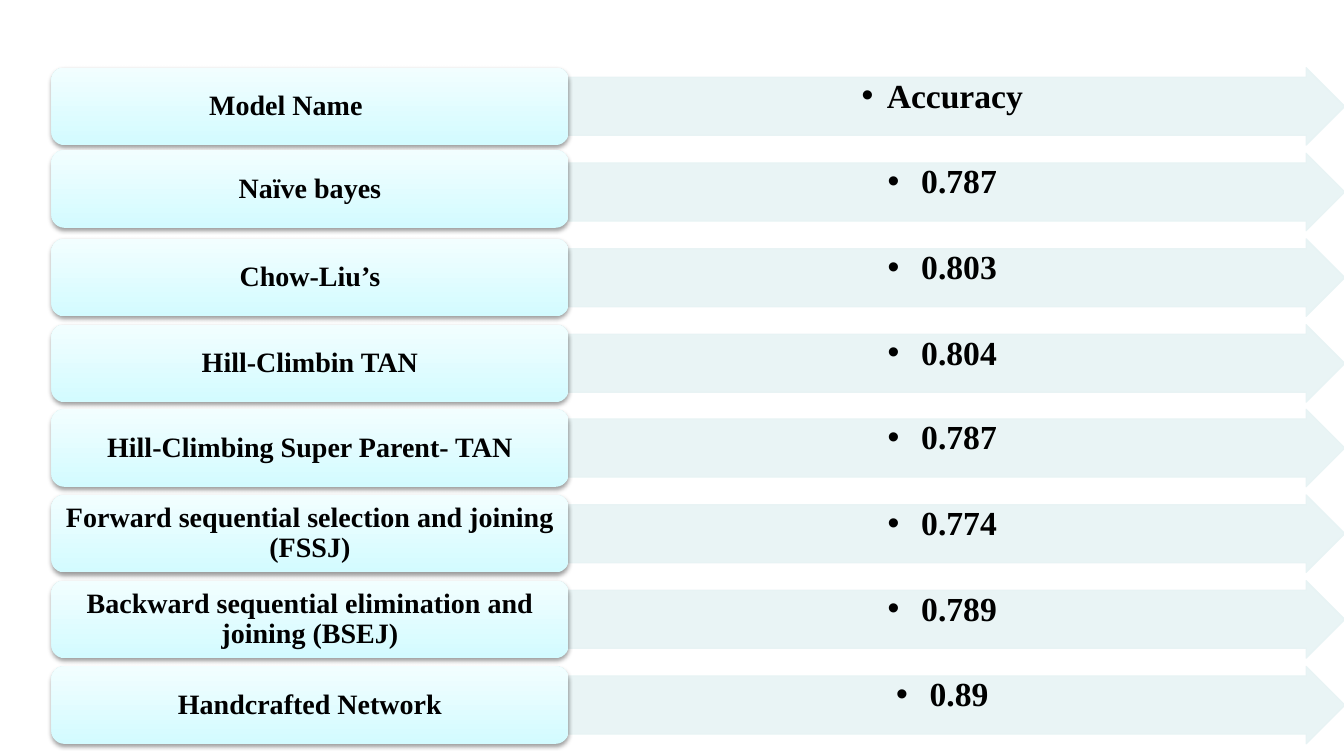
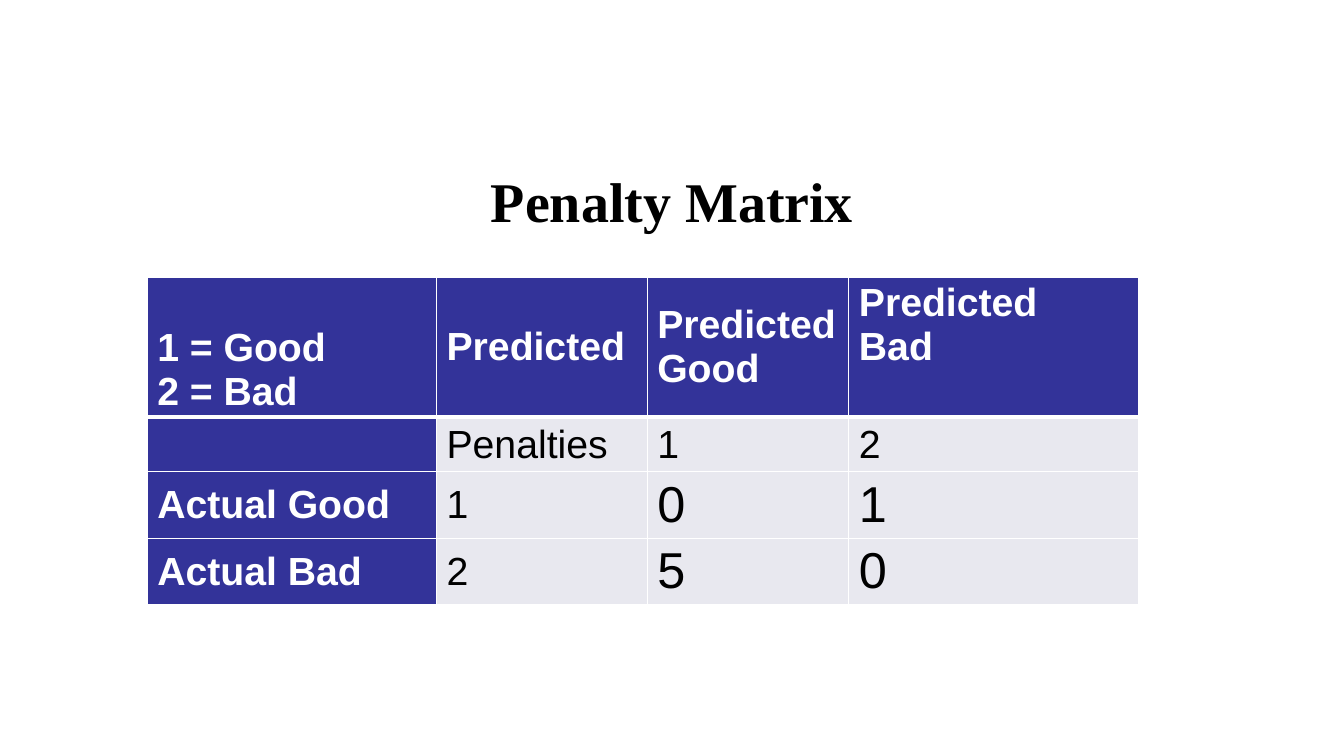
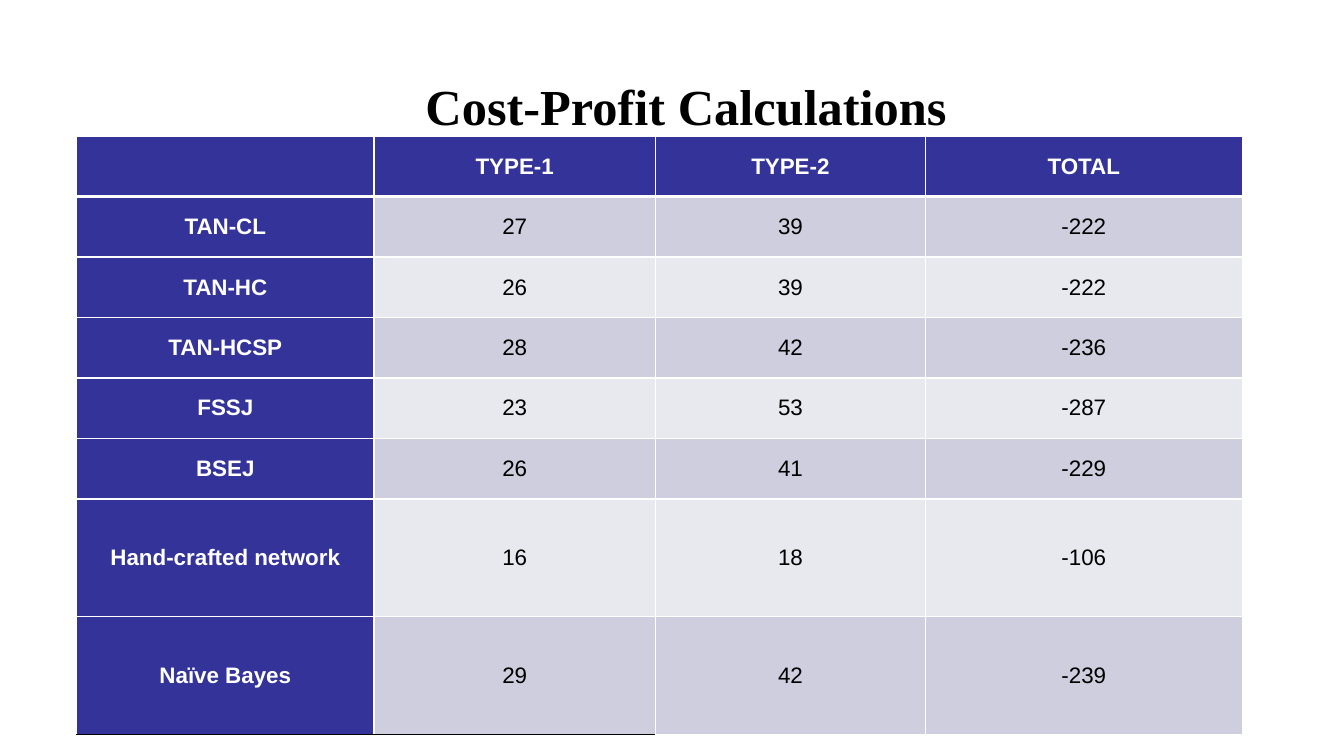
from lxml import etree
from pptx import Presentation
from pptx import util as u
from pptx.dml import color as c
from pptx.enum import shapes as s
from pptx.enum import text as t
from pptx.oxml import ns

PX = 9144
SERIF, SANS = "Times New Roman", "Arial"
COLOURS = {
    "black": "000000",
    "white": "FFFFFF",
    "navy": "333399",
    "band_dark": "CECEDE",
    "band_light": "E8E8EF",
    "arrow": "E7F3F4",
    "label_bottom": "D3FBFF",
    "label_top": "F2FEFF",
}
MODELS = [
    ("Model Name\t", "Accuracy"),
    ("Naïve bayes", " 0.787"),
    ("Chow-Liu’s", " 0.803"),
    ("Hill-Climbin TAN", " 0.804"),
    ("Hill-Climbing Super Parent- TAN", " 0.787"),
    ("Forward sequential selection and joining (FSSJ)", " 0.774"),
    ("Backward sequential elimination and joining (BSEJ)", " 0.789"),
    ("Handcrafted Network", " 0.89"),
]
LABEL_LIFT = {"Naïve bayes": 3}
PENALTIES = [
    ("1 = Good\n2 = Bad", "Predicted", "Predicted\nGood", "Predicted\nBad"),
    ("", "Penalties", "1", "2"),
    ("Actual Good", "1", "0", "1"),
    ("Actual Bad", "2", "5", "0"),
]
COSTS = [
    ("", "TYPE-1", "TYPE-2", "TOTAL"),
    ("TAN-CL", "27", "39", "-222"),
    ("TAN-HC", "26", "39", "-222"),
    ("TAN-HCSP", "28", "42", "-236"),
    ("FSSJ", "23", "53", "-287"),
    ("BSEJ", "26", "41", "-229"),
    ("Hand-crafted network", "16", "18", "-106"),
    ("Naïve Bayes", "29", "42", "-239"),
]


def px(*lengths):
    return [u.Emu(length * PX) for length in lengths]


def rgb(name):
    return c.RGBColor.from_string(COLOURS[name])


def add_xml(parent, tag, **attributes):
    element = etree.SubElement(parent, ns.qn(tag))
    for name, value in attributes.items():
        element.set(name, str(value))
    return element


def add_bullet(paragraph, indent):
    paragraph.level = 1
    properties = paragraph._p.get_or_add_pPr()
    properties.set("marL", str(indent * PX))
    properties.set("indent", str(-indent * PX))
    add_xml(properties, "a:buFont", typeface=SANS)
    add_xml(properties, "a:buChar", char="•")


def write_text(frame, text, *, size, font=SERIF, colour="black", bold=True,
               align=t.PP_ALIGN.CENTER, spacing=None, bullet_indent=None):
    for index, line in enumerate(text.split("\n")):
        paragraph = frame.add_paragraph() if index else frame.paragraphs[0]
        paragraph.alignment = align
        if spacing:
            paragraph.line_spacing = spacing
        if bullet_indent:
            add_bullet(paragraph, bullet_indent)
        run = paragraph.add_run()
        run.text = line
        run.font.name = font
        run.font.size = u.Pt(size)
        run.font.bold = bold
        run.font.color.rgb = rgb(colour)


def set_margins(target, across, down):
    target.margin_left, target.margin_right = px(across, across)
    target.margin_top, target.margin_bottom = px(down, down)


def add_block(slide, kind, box, margins, anchor):
    shape = slide.shapes.add_shape(kind, *px(*box))
    shape.shadow.inherit = False
    frame = shape.text_frame
    frame.word_wrap = True
    frame.vertical_anchor = anchor
    set_margins(frame, *margins)
    return shape


def add_value_arrow(slide, top, value):
    arrow = add_block(slide, s.MSO_SHAPE.RIGHT_ARROW, (564, top, 770, 77),
                      (2, 2), t.MSO_ANCHOR.TOP)
    arrow.adjustments[0] = 0.75
    arrow.adjustments[1] = 0.5
    arrow.fill.solid()
    arrow.fill.fore_color.rgb = rgb("arrow")
    arrow.line.color.rgb = rgb("arrow")
    arrow.line.width = u.Pt(0.75)
    for colour in list(arrow._element.spPr.iter(ns.qn("a:srgbClr"))):
        add_xml(colour, "a:alpha", val=90000)
    write_text(arrow.text_frame, value, size=24, spacing=0.9, bullet_indent=25)


def add_label(slide, top, name):
    label = add_block(slide, s.MSO_SHAPE.ROUNDED_RECTANGLE, (51, top, 513, 77),
                      (8, 4), t.MSO_ANCHOR.MIDDLE)
    label.fill.gradient()
    label.fill.gradient_angle = 90
    for stop, colour, position in zip(label.fill.gradient_stops,
                                      ("label_bottom", "label_top"), (0, 1)):
        stop.color.rgb = rgb(colour)
        stop.position = position
    label.line.fill.background()
    effects = label._element.spPr.find(ns.qn("a:effectLst"))
    shadow = add_xml(effects, "a:outerShdw", blurRad=u.Pt(3.1), dist=u.Pt(1.6),
                     dir=5400000, rotWithShape=0)
    shade = add_xml(shadow, "a:srgbClr", val=COLOURS["black"])
    add_xml(shade, "a:alpha", val=38000)
    write_text(label.text_frame, name, size=20, spacing=0.9)


def add_title(slide, text, box, size):
    title = slide.shapes.title
    title.left, title.top, title.width, title.height = px(*box)
    frame = title.text_frame
    frame.auto_size = t.MSO_AUTO_SIZE.NONE
    frame.vertical_anchor = t.MSO_ANCHOR.TOP
    set_margins(frame, 10, 15)
    write_text(frame, text, size=size)


def set_borders(cell, top=1, bottom=1, bottom_colour="white"):
    sides = {"L": (1, "white"), "R": (1, "white"),
             "T": (top, "white"), "B": (bottom, bottom_colour)}
    properties = cell._tc.get_or_add_tcPr()
    for side, (width, colour) in sides.items():
        line = add_xml(properties, f"a:ln{side}", w=u.Pt(width))
        fill = add_xml(line, "a:solidFill")
        add_xml(fill, "a:srgbClr", val=COLOURS[colour])


def add_grid(slide, rows, left, top, widths, heights, *, margins, bands, size_at,
             align, anchors=None, underlined=()):
    frame = slide.shapes.add_table(len(rows), len(widths),
                                   *px(left, top, sum(widths), sum(heights)))
    table = frame.table
    for column, width in zip(table.columns, px(*widths)):
        column.width = width
    for row, height in zip(table.rows, px(*heights)):
        row.height = height
    for i, texts in enumerate(rows):
        for j, text in enumerate(texts):
            cell = table.cell(i, j)
            heading = i == 0 or j == 0
            set_margins(cell, *margins)
            cell.vertical_anchor = (anchors or {}).get((i, j), t.MSO_ANCHOR.MIDDLE)
            set_borders(cell, top=3 if i == 1 else 1, bottom=3 if i == 0 else 1,
                        bottom_colour="black" if (i, j) in underlined else "white")
            cell.fill.solid()
            cell.fill.fore_color.rgb = rgb("navy" if heading else bands[i % len(bands)])
            if text:
                write_text(cell.text_frame, text, size=size_at(i, j), font=SANS,
                           colour="white" if heading else "black",
                           bold=heading, align=align)


def build_accuracy(slide):
    for index, (name, value) in enumerate(MODELS):
        top = 67 + round(index * 594 / (len(MODELS) - 1))
        add_value_arrow(slide, top, value)
        add_label(slide, top - LABEL_LIFT.get(name, 0), name)


def build_penalties(slide):
    add_title(slide, "Penalty Matrix", (100, 150, 1133, 125), 40)
    add_grid(slide, PENALTIES, 146, 275, (287, 209, 200, 287), (139, 54, 66, 66),
             margins=(10, 4), bands=("band_light",),
             size_at=lambda i, j: 36 if min(i, j) >= 2 else 28,
             align=t.PP_ALIGN.LEFT,
             anchors={(0, 0): t.MSO_ANCHOR.BOTTOM, (0, 3): t.MSO_ANCHOR.TOP})


def build_costs(slide):
    add_title(slide, "Cost-Profit Calculations", (114, 59, 1133, 57), 36)
    add_grid(slide, COSTS, 76, 135, (295, 279, 268, 314), [60] * 6 + [117] * 2,
             margins=(1, 1), bands=("band_light", "band_dark"),
             size_at=lambda i, j: 16, align=t.PP_ALIGN.CENTER,
             underlined=((7, 0), (7, 1)))


def main():
    presentation = Presentation()
    presentation.slide_width, presentation.slide_height = px(1333, 750)
    title_only, blank = presentation.slide_layouts[5], presentation.slide_layouts[6]
    for layout, build in ((blank, build_accuracy), (title_only, build_penalties),
                          (title_only, build_costs)):
        build(presentation.slides.add_slide(layout))
    presentation.save("out.pptx")


if __name__ == "__main__":
    main()
